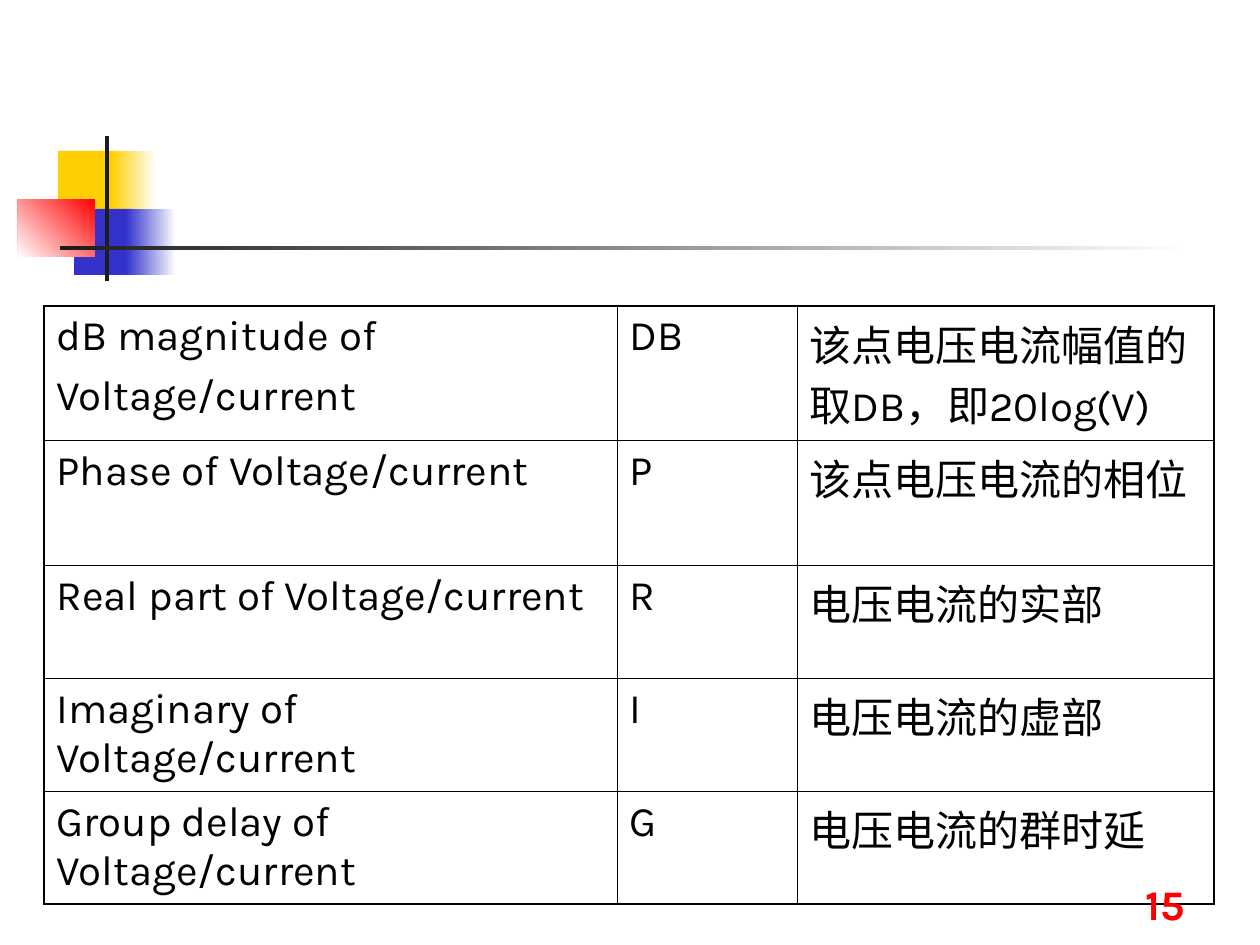
"""Build a slide with a table of voltage and current formats."""
from dataclasses import dataclass
from typing import Any, Optional

from lxml import etree
from pptx import Presentation
from pptx import util as u
from pptx.dml.color import RGBColor
from pptx.enum import shapes, text
from pptx.oxml import ns


@dataclass(frozen=True)
class Theme:
    gold: str = "FFCF01"
    blue: str = "3333CC"
    red: str = "FF0000"
    dark: str = "1C1C1C"
    black: str = "000000"
    white: str = "FFFFFF"
    font: str = "Karla"
    size: int = 24
    gap: int = 6
    thin: float = 0.45
    thick: float = 1.08


@dataclass(frozen=True)
class Block:
    left: int
    top: int
    width: int
    height: int
    color: str
    end: Optional[str] = None
    angle: int = 180


THEME = Theme()
SCALE = u.Inches(1) / 126
BLOCKS = [
    Block(58, 151, 60, 66, THEME.gold),
    Block(111, 151, 45, 66, THEME.white, THEME.gold),
    Block(74, 209, 58, 66, THEME.blue),
    Block(126, 209, 50, 66, THEME.white, THEME.blue),
    Block(18, 199, 77, 58, THEME.red, THEME.white, 225),
    Block(105, 136, 4, 145, THEME.dark),
    Block(60, 246, 1134, 4, THEME.white, THEME.dark),
]
COLS = [573, 180, 417]
ROWS = [125, 125, 113, 113, 113]
CELLS = [
    ("dB magnitude of\nVoltage/current", "DB", "该点电压电流幅值的取DB，即20log(V)"),
    ("Phase of Voltage/current", "P", "该点电压电流的相位"),
    ("Real part of Voltage/current", "R", "电压电流的实部"),
    ("Imaginary of Voltage/current", "I", "电压电流的虚部"),
    ("Group delay of Voltage/current", "G", "电压电流的群时延"),
]


def px(num: int) -> u.Emu:
    return u.Emu(round(num * SCALE))


def style(frame: Any, color: str, bold: bool = False) -> None:
    for para in frame.paragraphs:
        for run in para.runs:
            run.font.name = THEME.font
            run.font.size = u.Pt(THEME.size)
            run.font.bold = bold
            run.font.color.rgb = RGBColor.from_string(color)


def draw_block(slide: Any, block: Block) -> None:
    shape = slide.shapes.add_shape(
        shapes.MSO_SHAPE.RECTANGLE,
        px(block.left), px(block.top), px(block.width), px(block.height))
    shape.shadow.inherit = False
    shape.line.fill.background()
    if block.end is None:
        shape.fill.solid()
        shape.fill.fore_color.rgb = RGBColor.from_string(block.color)
        return
    shape.fill.gradient()
    shape.fill.gradient_angle = block.angle
    for stop, color in zip(shape.fill.gradient_stops, (block.color, block.end)):
        stop.color.rgb = RGBColor.from_string(color)


def draw_edges(cell: Any, edges: dict[str, bool]) -> None:
    props = cell._tc.get_or_add_tcPr()
    for spot, (side, outer) in enumerate(edges.items()):
        width = u.Pt(THEME.thick if outer else THEME.thin)
        line = etree.Element(ns.qn(f"a:ln{side}"), w=str(int(width)))
        fill = etree.SubElement(line, ns.qn("a:solidFill"))
        etree.SubElement(fill, ns.qn("a:srgbClr"), val=THEME.black)
        props.insert(spot, line)


def draw_table(slide: Any) -> None:
    table = slide.shapes.add_table(
        len(ROWS), len(COLS), px(44), px(306), px(sum(COLS)), px(sum(ROWS))).table
    table.first_row = table.horz_banding = False
    for col, width in zip(table.columns, COLS):
        col.width = px(width)
    for r, (row, height) in enumerate(zip(table.rows, ROWS)):
        row.height = px(height)
        for c, cell in enumerate(row.cells):
            cell.text_frame.text = CELLS[r][c]
            cell.fill.background()
            style(cell.text_frame, THEME.black)
            for para in cell.text_frame.paragraphs:
                para.space_before = u.Pt(THEME.gap)
            draw_edges(cell, {"L": c == 0, "R": c == len(COLS) - 1,
                              "T": r == 0, "B": r == len(ROWS) - 1})


def draw_number(slide: Any) -> None:
    frame = slide.shapes.add_textbox(px(935), px(872), px(262), px(63)).text_frame
    frame.word_wrap = True
    frame.vertical_anchor = text.MSO_ANCHOR.BOTTOM
    frame.text = "15"
    frame.paragraphs[0].alignment = text.PP_ALIGN.RIGHT
    style(frame, THEME.red, bold=True)


def main() -> None:
    deck = Presentation()
    deck.slide_width, deck.slide_height = px(1260), px(945)
    slide = deck.slides.add_slide(deck.slide_layouts[6])
    for block in BLOCKS:
        draw_block(slide, block)
    draw_table(slide)
    draw_number(slide)
    deck.save("out.pptx")


if __name__ == "__main__":
    main()
